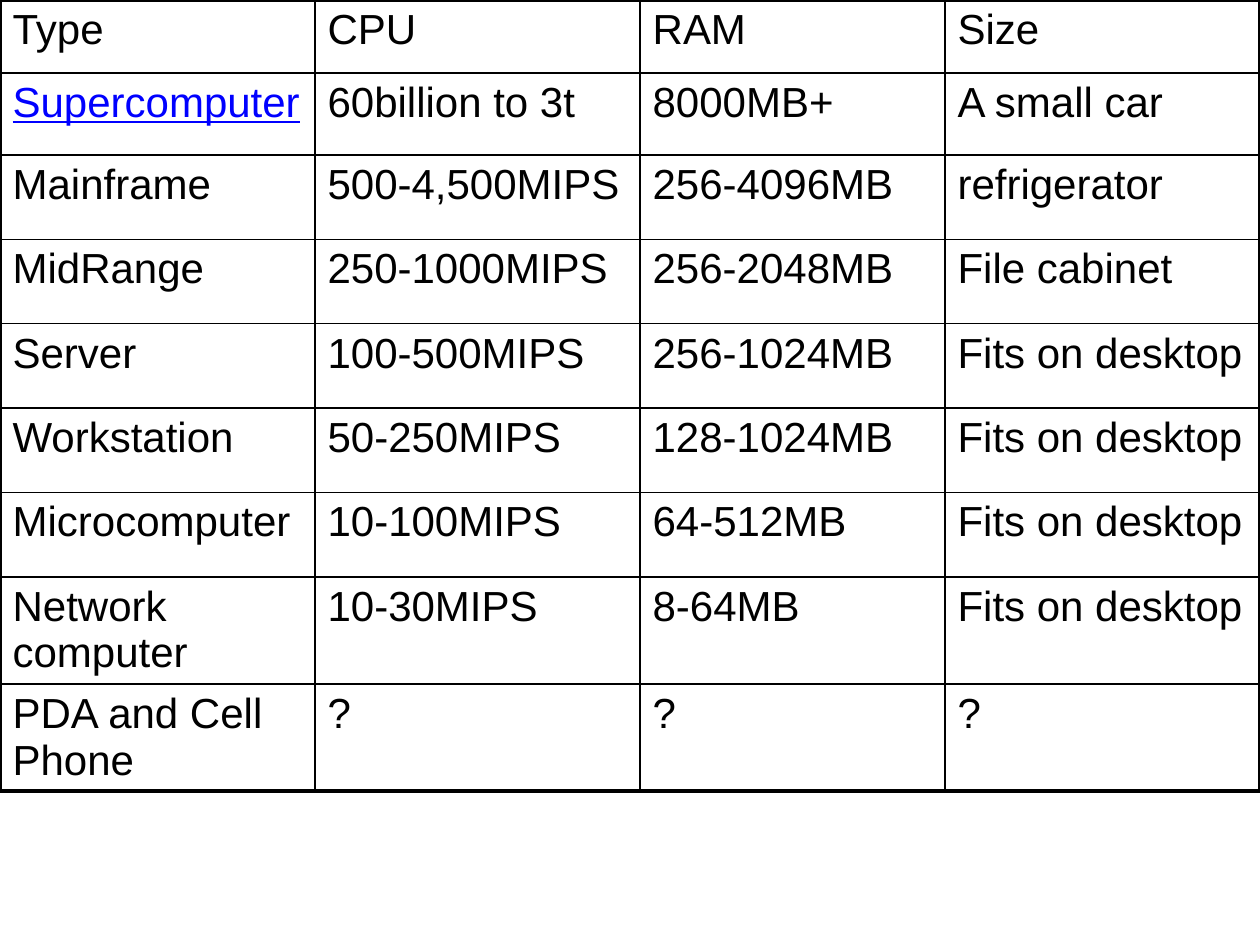
from lxml import etree
from pptx import Presentation, util as u
from pptx.dml.color import RGBColor
from pptx.oxml.ns import qn

FONT, SIZE = "Arial", 24
INK, LINK = "000000", "0000FF"
INNER, OUTER = 1, 2.25
LINKED = "Supercomputer"
COLUMNS = [2.5, 2.58, 2.42, 2.5]
ROWS = [
    (0.58, ["Type", "CPU", "RAM", "Size"]),
    (0.65, [LINKED, "60billion to 3t", "8000MB+", "A small car"]),
    (0.67, ["Mainframe", "500-4,500MIPS", "256-4096MB", "refrigerator"]),
    (0.67, ["MidRange", "250-1000MIPS", "256-2048MB", "File cabinet"]),
    (0.67, ["Server", "100-500MIPS", "256-1024MB", "Fits on desktop"]),
    (0.67, ["Workstation", "50-250MIPS", "128-1024MB", "Fits on desktop"]),
    (0.67, ["Microcomputer", "10-100MIPS", "64-512MB", "Fits on desktop"]),
    (0.85, ["Network computer", "10-30MIPS", "8-64MB", "Fits on desktop"]),
    (0.85, ["PDA and Cell Phone", "?", "?", "?"]),
]


def color(value):
    return RGBColor.from_string(value)


def set_borders(cell, widths):
    """Draw solid cell borders; widths maps L, R, T, B (in that order) to points."""
    properties = cell._tc.get_or_add_tcPr()
    for side, width in widths.items():
        line = etree.SubElement(properties, qn(f"a:ln{side}"), w=str(u.Pt(width)))
        fill = etree.SubElement(line, qn("a:solidFill"))
        etree.SubElement(fill, qn("a:srgbClr"), val=INK)


def fill_cell(cell, content):
    cell.fill.background()
    cell.margin_left = cell.margin_right = u.Inches(0.1)
    cell.margin_top = cell.margin_bottom = u.Inches(0.05)
    cell.text = content
    font = cell.text_frame.paragraphs[0].font
    font.name, font.size = FONT, u.Pt(SIZE)
    font.color.rgb = color(LINK if content == LINKED else INK)
    font.underline = content == LINKED


deck = Presentation()
deck.slide_width, deck.slide_height = u.Inches(10), u.Inches(7.5)
page = deck.slides.add_slide(deck.slide_layouts[6])

height = sum(row_height for row_height, _ in ROWS)
table = page.shapes.add_table(len(ROWS), len(COLUMNS), 0, 0,
                              deck.slide_width, u.Inches(height)).table
table.first_row = table.horz_banding = False
for column, width in zip(table.columns, COLUMNS):
    column.width = u.Inches(width)

last_row, last_column = len(ROWS) - 1, len(COLUMNS) - 1
for r, (row_height, contents) in enumerate(ROWS):
    table.rows[r].height = u.Inches(row_height)
    for c, content in enumerate(contents):
        cell = table.cell(r, c)
        on_edge = {"L": c == 0, "R": c == last_column, "T": r == 0, "B": r == last_row}
        set_borders(cell, {side: OUTER if edge else INNER for side, edge in on_edge.items()})
        fill_cell(cell, content)

deck.save("out.pptx")
